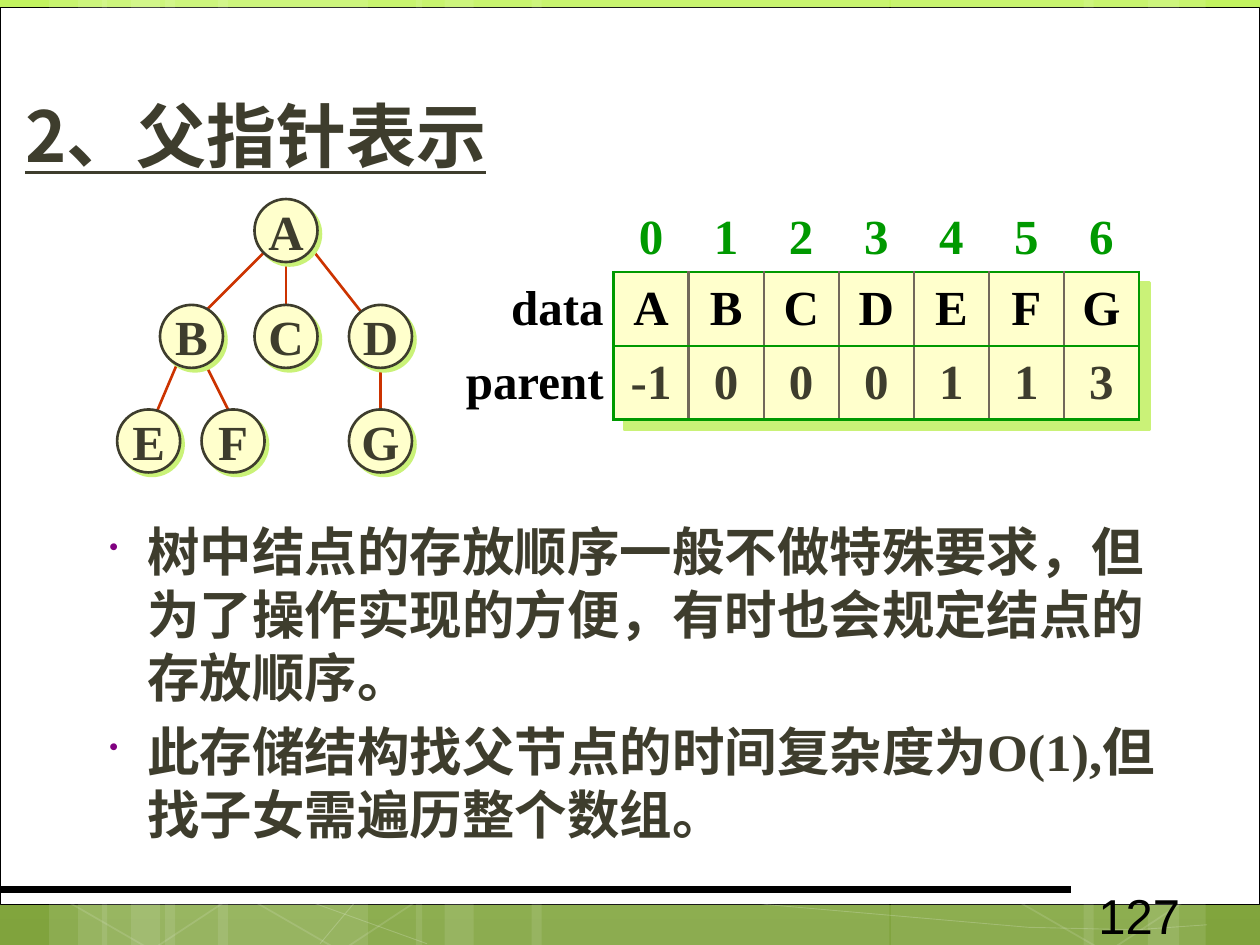
from copy import deepcopy

from lxml.etree import SubElement, fromstring
from pptx import Presentation
from pptx.dml.color import RGBColor
from pptx.enum.shapes import MSO_CONNECTOR, MSO_SHAPE
from pptx.enum.text import MSO_ANCHOR, PP_ALIGN
from pptx.oxml.ns import qn
from pptx.util import Inches, Pt

THEME = {
    "ink": "3E3D2D", "black": "000000", "white": "FFFFFF", "cream": "FFFFCC",
    "green": "009900", "divider": "71685A", "edge": "CC3300",
    "shadow": "CAF278", "bullet": "800080",
    "backdrop": [(0, "C2F35F"), (0.62, "92BE3F"), (1, "80A33D")],
    "serif": "Times New Roman", "sans": "Arial",
    "heading": "Noto Sans CJK JP", "chinese": "Noto Sans CJK SC",
    "title_size": 40, "body_size": 30, "label_size": 28,
}
NAMESPACE = 'xmlns:a="http://schemas.openxmlformats.org/drawingml/2006/main"'

TITLE = "2、父指针表示"
BULLETS = [
    "树中结点的存放顺序一般不做特殊要求，但为了操作实现的方便，有时也会规定结点的存放顺序。",
    "此存储结构找父节点的时间复杂度为O(1),但找子女需遍历整个数组。",
]
PAGE_NUMBER = "127"

NODE_SIZE = 0.5
NODES = {"A": (2.02, 1.58), "B": (1.27, 2.42), "C": (2.02, 2.42), "D": (2.77, 2.42),
         "E": (0.93, 3.25), "F": (1.6, 3.25), "G": (2.77, 3.25)}
EDGES = [  # start and end of each branch
    (2.1, 2, 1.6, 2.5), (2.27, 2, 2.27, 2.5), (2.43, 1.92, 3.02, 2.67),
    (1.43, 2.83, 1.18, 3.42), (1.6, 2.83, 1.85, 3.33), (3.02, 2.83, 3.02, 3.42),
]

ARRAY_ROWS = [  # label, label colour, values, value colour
    ("", "black", list("0123456"), "green"),
    ("data", "black", list("ABCDEFG"), "black"),
    ("parent", "black", ["-1", "0", "0", "0", "1", "1", "3"], "ink"),
]
ARRAY_LEFT, ARRAY_TOP, ARRAY_WIDTH, ARRAY_HEIGHT = 4.87, 2.16, 4.17, 1.17
LABEL_WIDTH, INDEX_HEIGHT = 1.37, 0.54

BANDS = [  # left and width of the full-height stripes
    (1.31, 1.61), (0.39, 0.46), (0.62, 0.77), (1.73, 1.62), (0.81, 0.46), (1.04, 0.77),
    (7.07, 1.61), (9.11, 0.46), (8.6, 0.76), (4.22, 2.84), (3.3, 0.46), (3.53, 0.77),
]
HEXAGONS = [(0.41, 5.91), (1.91, 5.92), (7.99, 5.93)]
CURVES = [
    [(0.36, 6.17), (1.5, 6.72), (2.5, 7.17), (3.39, 7.49)],
    [(0.37, 5.78), (1.49, 6.16), (3.59, 6.73), (6.09, 7.18), (8.16, 7.36), (9.01, 7.38), (9.58, 7.34)],
    [(2.54, 7.49), (2.8, 7.18), (3.09, 6.91), (3.88, 6.39), (4.63, 6.09), (5.91, 5.78), (7.62, 5.62)],
]


def color(name):
    return RGBColor.from_string(THEME[name])


def set_alpha(fill_format, percent):
    for srgb in fill_format._xPr.iter(qn("a:srgbClr")):
        SubElement(srgb, qn("a:alpha"), val=str(percent * 1000))


def add_shape(page, kind, left, top, width, height, fill=None, line=None, line_width=1.5):
    shape = page.shapes.add_shape(kind, Inches(left), Inches(top), Inches(width), Inches(height))
    paint(shape, fill, line, line_width)
    return shape


def paint(shape, fill, line, line_width):
    shape.shadow.inherit = False
    for target, name in ((shape.fill, fill), (shape.line.fill, line)):
        if name:
            target.solid()
            target.fore_color.rgb = color(name)
        else:
            target.background()
    if line:
        shape.line.width = Pt(line_width)


def add_shadow(shape, distance):
    effects = shape._element.spPr.find(qn("a:effectLst"))
    effects.append(fromstring(
        f'<a:outerShdw {NAMESPACE} dist="{Pt(distance)}" dir="2700000" algn="ctr" rotWithShape="0">'
        f'<a:srgbClr val="{THEME["shadow"]}"/></a:outerShdw>'))


def add_line(page, ends, name, width):
    connector = page.shapes.add_connector(MSO_CONNECTOR.STRAIGHT, *map(Inches, ends))
    connector.line.color.rgb = color(name)
    connector.line.width = Pt(width)
    SubElement(connector._element.spPr, qn("a:effectLst"))


def format_runs(paragraph, size, name, font, bold=True, underline=None):
    for span in paragraph.runs:
        span.font.size, span.font.name = Pt(size), font
        span.font.bold, span.font.underline = bold, underline
        span.font.color.rgb = color(name)
        SubElement(span._r.rPr, qn("a:ea"), typeface=THEME["chinese"])


def add_text_box(page, left, top, width, height):
    box = page.shapes.add_textbox(Inches(left), Inches(top), Inches(width), Inches(height))
    box.text_frame.word_wrap = True
    return box.text_frame


def clear_margins(holder):
    holder.margin_left = holder.margin_right = holder.margin_top = holder.margin_bottom = 0


def add_backdrop(page):
    fill = page.background.fill
    fill.gradient()
    fill.gradient_angle = 270
    stop_list = fill.gradient_stops[0]._gs.getparent()
    stop_list.append(deepcopy(stop_list[-1]))
    for stop, (position, value) in zip(fill.gradient_stops, THEME["backdrop"]):
        stop.position = position
        stop.color.rgb = RGBColor.from_string(value)

    add_shape(page, MSO_SHAPE.RECTANGLE, 0, 0.06, 10, 7.12, "white", "black", 0.5)
    for left, width in BANDS:
        band = add_shape(page, MSO_SHAPE.RECTANGLE, left, 0, width, 7.5, "white")
        set_alpha(band.fill, 10)
    for points in CURVES:
        start, *rest = [(Inches(x), Inches(y)) for x, y in points]
        builder = page.shapes.build_freeform(*start)
        builder.add_line_segments(rest, close=False)
        curve = builder.convert_to_shape()
        paint(curve, None, "white", 0.5)
        set_alpha(curve.line.fill, 20)
    for left, top in HEXAGONS:
        hexagon = add_shape(page, MSO_SHAPE.HEXAGON, left, top, 1.61, 1.52, None, "white", 1)
        hexagon.rotation = 30
        set_alpha(hexagon.line.fill, 12)
    add_line(page, (0, 7.06, 8.5, 7.06), "black", 4.5)


def add_bullets(page):
    frame = add_text_box(page, 0.69, 4.07, 8.68, 2.71)
    frame.text = "\n".join(BULLETS)
    for paragraph in frame.paragraphs:
        paragraph.line_spacing, paragraph.space_before = Pt(36), Pt(6)
        format_runs(paragraph, THEME["body_size"], "ink", THEME["serif"])
        properties = paragraph._p.get_or_add_pPr()
        properties.set("marL", str(Inches(0.38)))
        properties.set("indent", str(Inches(-0.3)))
        bullet_color = SubElement(properties, qn("a:buClr"))
        SubElement(bullet_color, qn("a:srgbClr"), val=THEME["bullet"])
        SubElement(properties, qn("a:buSzPct"), val="50000")
        SubElement(properties, qn("a:buChar"), char="•")


def add_tree(page):
    for ends in EDGES:
        add_line(page, ends, "edge", 1.5)
    for letter, (left, top) in NODES.items():
        node = add_shape(page, MSO_SHAPE.OVAL, left, top, NODE_SIZE, NODE_SIZE, "cream", "ink")
        add_shadow(node, 2.8)
        frame = node.text_frame
        clear_margins(frame)
        frame.word_wrap, frame.vertical_anchor = False, MSO_ANCHOR.MIDDLE
        frame.text = letter
        frame.paragraphs[0].alignment = PP_ALIGN.CENTER
        format_runs(frame.paragraphs[0], THEME["label_size"], "ink", THEME["serif"])


def set_borders(cell, **sides):
    """Draw the named sides (L, R, T, B) in the given theme colours."""
    properties = cell._tc.get_or_add_tcPr()
    for index, (side, name) in enumerate(sides.items()):
        properties.insert(index, fromstring(
            f'<a:ln{side} {NAMESPACE} w="{Pt(1.5)}"><a:solidFill>'
            f'<a:srgbClr val="{THEME[name]}"/></a:solidFill></a:ln{side}>'))


def add_array(page):
    panel = add_shape(page, MSO_SHAPE.RECTANGLE, ARRAY_LEFT, ARRAY_TOP, ARRAY_WIDTH, ARRAY_HEIGHT,
                      "cream", "green")
    add_shadow(panel, 8.5)
    count = len(ARRAY_ROWS[0][2])
    table = page.shapes.add_table(
        len(ARRAY_ROWS), count + 1, Inches(ARRAY_LEFT - LABEL_WIDTH), Inches(ARRAY_TOP - INDEX_HEIGHT),
        Inches(LABEL_WIDTH + ARRAY_WIDTH), Inches(INDEX_HEIGHT + ARRAY_HEIGHT)).table
    table.first_row = table.horz_banding = False
    # The built-in "No Style, No Grid" table style
    table._tbl.tblPr.find(qn("a:tableStyleId")).text = "{2D5ABB26-0587-4C30-8999-92F81FD0307C}"
    for index, column in enumerate(table.columns):
        column.width = Inches(ARRAY_WIDTH / count if index else LABEL_WIDTH)
    for index, row in enumerate(table.rows):
        row.height = Inches(ARRAY_HEIGHT / 2 if index else INDEX_HEIGHT)

    for row, (label, label_color, values, value_color) in enumerate(ARRAY_ROWS):
        for column, text in enumerate([label] + values):
            cell = table.cell(row, column)
            clear_margins(cell)
            cell.vertical_anchor = MSO_ANCHOR.MIDDLE
            cell.text = text
            paragraph = cell.text_frame.paragraphs[0]
            paragraph.alignment = PP_ALIGN.CENTER if column else PP_ALIGN.RIGHT
            format_runs(paragraph, THEME["label_size"], value_color if column else label_color,
                        THEME["serif"])
            if row and column:
                cell.fill.solid()
                cell.fill.fore_color.rgb = color("cream")
                set_borders(cell, L="green" if column == 1 else "divider",
                            R="green" if column == count else "divider", T="green", B="green")
            else:
                cell.fill.background()
                if not column:
                    cell.margin_right = Inches(0.08)


def main():
    deck = Presentation()
    deck.slide_width, deck.slide_height = Inches(10), Inches(7.5)
    page = deck.slides.add_slide(deck.slide_layouts[6])
    add_backdrop(page)

    title = add_text_box(page, 0.2, 0.56, 9, 1.01)
    clear_margins(title)
    title.vertical_anchor = MSO_ANCHOR.MIDDLE
    title.text = TITLE
    format_runs(title.paragraphs[0], THEME["title_size"], "ink", THEME["heading"], underline=True)

    add_bullets(page)
    number = add_text_box(page, 8.62, 6.98, 1.46, 0.4)
    number.text = PAGE_NUMBER
    format_runs(number.paragraphs[0], THEME["label_size"], "black", THEME["sans"], bold=False)
    add_tree(page)
    add_array(page)
    deck.save("out.pptx")


if __name__ == "__main__":
    main()
